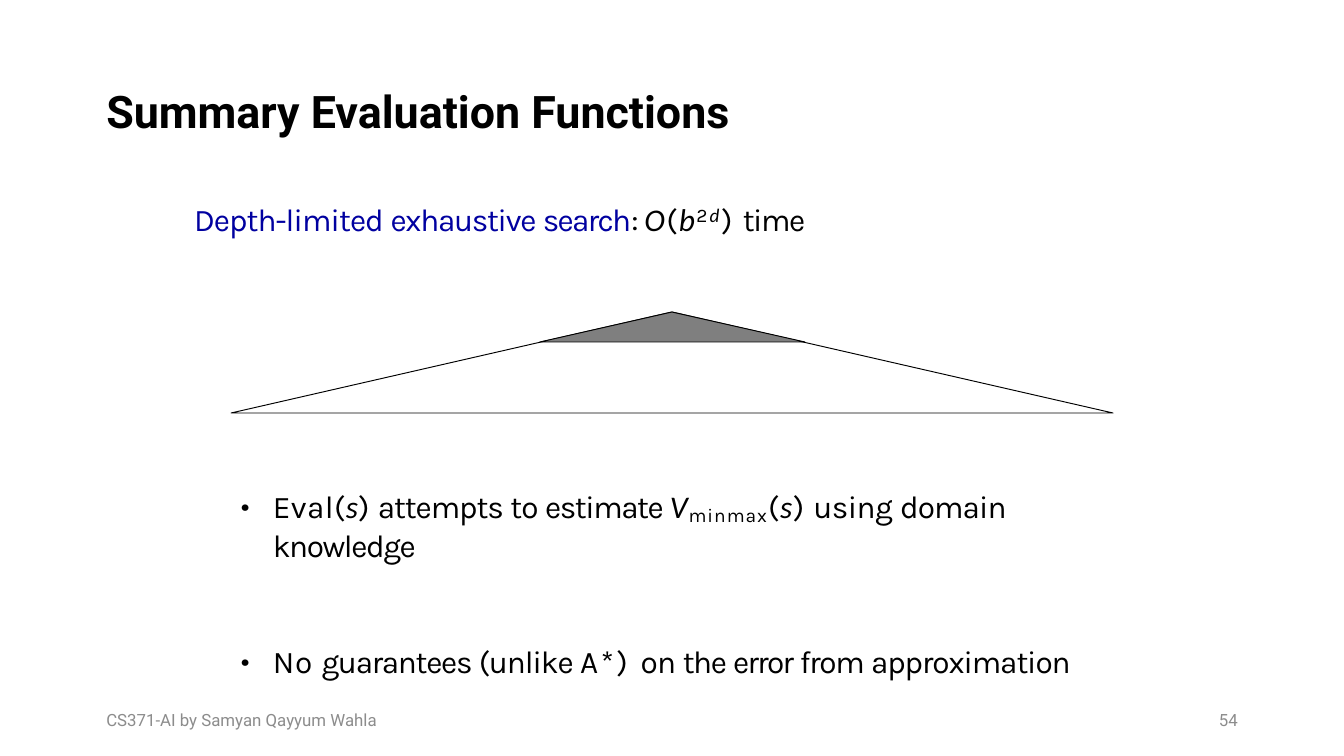
import pptx
import pptx.dml.color
import pptx.enum.text
import pptx.util
from lxml import etree
from pptx.oxml.ns import qn

PX = 6803.57  # EMU per px, at 134.4 px to the inch
BLACK, BLUE, GREY = "000000", "0000A0", "8C8C8C"
MIDDLE = pptx.enum.text.MSO_ANCHOR.MIDDLE
LEFT, RIGHT = pptx.enum.text.PP_ALIGN.LEFT, pptx.enum.text.PP_ALIGN.RIGHT


def color(hex_code):
    return pptx.dml.color.RGBColor.from_string(hex_code)


def add_run(paragraph, text, font="Karla", size=16.9, fill=BLACK, bold=False,
            italic=False, spacing=0, baseline=0):
    """Append formatted text; spacing is in points, baseline in percent."""
    run = paragraph.add_run()
    run.text = text
    run.font.name = font
    run.font.size = pptx.util.Pt(size)
    run.font.bold = bold
    run.font.italic = italic
    run.font.color.rgb = color(fill)
    properties = run._r.get_or_add_rPr()
    properties.set("spc", str(round(spacing * 100)))
    if baseline:
        properties.set("baseline", str(baseline * 1000))


deck = pptx.Presentation()
deck.slide_width = round(1344 * PX)
deck.slide_height = round(756 * PX)
slide = deck.slides.add_slide(deck.slide_layouts[6])

# Title and footer
for text, (left, top, width, height), align, line_spacing, style in [
    ("Summary Evaluation Functions", (93, 40, 1158, 147), LEFT, 0.9,
     dict(size=24, bold=True)),
    ("CS371-AI by Samyan Qayyum Wahla", (93, 700, 302, 40), LEFT, 1.0,
     dict(size=9, fill=GREY)),
    ("54", (949, 700, 302, 40), RIGHT, 1.0, dict(size=9, fill=GREY)),
]:
    frame = slide.shapes.add_textbox(*(round(v * PX) for v in (left, top, width, height))).text_frame
    frame.word_wrap = True
    frame.vertical_anchor = MIDDLE
    frame.paragraphs[0].alignment = align
    frame.paragraphs[0].line_spacing = line_spacing
    add_run(frame.paragraphs[0], text, font="Roboto", **style)

# Search tree, with the explored part shaded at its top
apex = (672, 312)
for left, right, base, shade in [(231, 1113, 413, None), (540, 805, 342, "7F7F7F")]:
    outline = slide.shapes.build_freeform(*apex, scale=PX)
    outline.add_line_segments([(left, base), (right, base)], close=True)
    tree = outline.convert_to_shape()
    tree.shadow.inherit = False
    if shade:
        tree.fill.solid()
        tree.fill.fore_color.rgb = color(shade)
    else:
        tree.fill.background()
    tree.line.color.rgb = color(BLACK)
    tree.line.width = pptx.util.Pt(0.5)

# Statements: each run is its text and what differs from the body format
symbol = dict(font="Calibri", italic=True)
complexity = [
    ("Depth-limited ", dict(fill=BLUE, spacing=-0.5)),
    ("exhaustive ", dict(fill=BLUE, spacing=-0.7)),
    ("search", dict(fill=BLUE, spacing=-0.9)),
    (": ", dict(spacing=-0.9)),
    ("O", dict(symbol, spacing=0.7)),
    ("(", dict(spacing=0.7)),
    ("b", dict(symbol, spacing=0.7)),
    ("2", dict(size=17.7, spacing=1.1, baseline=29)),
    ("d", dict(symbol, size=17.7, spacing=1.1, baseline=29)),
    (") ", dict(spacing=0.7)),
    ("time", dict(spacing=-0.8)),
]
estimate = [
    ("Eval(", dict(spacing=0.2)),
    ("s", dict(symbol, spacing=0.2)),
    (") ", dict(spacing=0.2)),
    ("attempts ", dict(spacing=-0.6)),
    ("to ", dict(spacing=-0.5)),
    ("estimate ", dict(spacing=-0.8)),
    ("V", dict(symbol, spacing=0.4)),
    ("minmax", dict(size=17.7, spacing=0.6, baseline=-13)),
    ("(", dict(spacing=0.4)),
    ("s", dict(symbol, spacing=0.4)),
    (") ", dict(spacing=0.4)),
    ("using ", dict(spacing=-0.3)),
    ("domain ", dict(spacing=-0.5)),
    ("knowledge", dict(spacing=-0.8)),
]
guarantees = [
    ("No ", dict(spacing=0.4)),
    ("guarantees ", dict(spacing=-0.7)),
    ("(unlike ", dict(spacing=-0.6)),
    ("A*) ", dict(spacing=1.4)),
    ("on ", dict(spacing=-0.4)),
    ("the ", dict(spacing=-0.8)),
    ("error ", dict(spacing=-0.9)),
    ("from ", dict(spacing=-0.7)),
    ("approximation", dict(spacing=-0.6)),
]

for (left, top, width, height), statements, margin, indent, bullet in [
    ((190, 196, 617, 40), [complexity], 4, 0, None),
    ((237, 482, 914, 159), [estimate, guarantees], 36, -32, "•"),
]:
    frame = slide.shapes.add_textbox(*(round(v * PX) for v in (left, top, width, height))).text_frame
    frame.word_wrap = True
    frame.margin_left = frame.margin_right = frame.margin_bottom = 0
    frame.margin_top = round(3 * PX)
    for number, statement in enumerate(statements):
        paragraph = frame.add_paragraph() if number else frame.paragraphs[0]
        properties = paragraph._p.get_or_add_pPr()
        properties.set("marL", str(round(margin * PX)))
        properties.set("indent", str(round(indent * PX)))
        if bullet:
            etree.SubElement(properties, qn("a:buFont"), typeface="Karla")
            etree.SubElement(properties, qn("a:buChar"), char=bullet)
        if number:
            paragraph.space_before = pptx.util.Pt(42)
        for text, style in statement:
            add_run(paragraph, text, **style)

deck.save("out.pptx")
